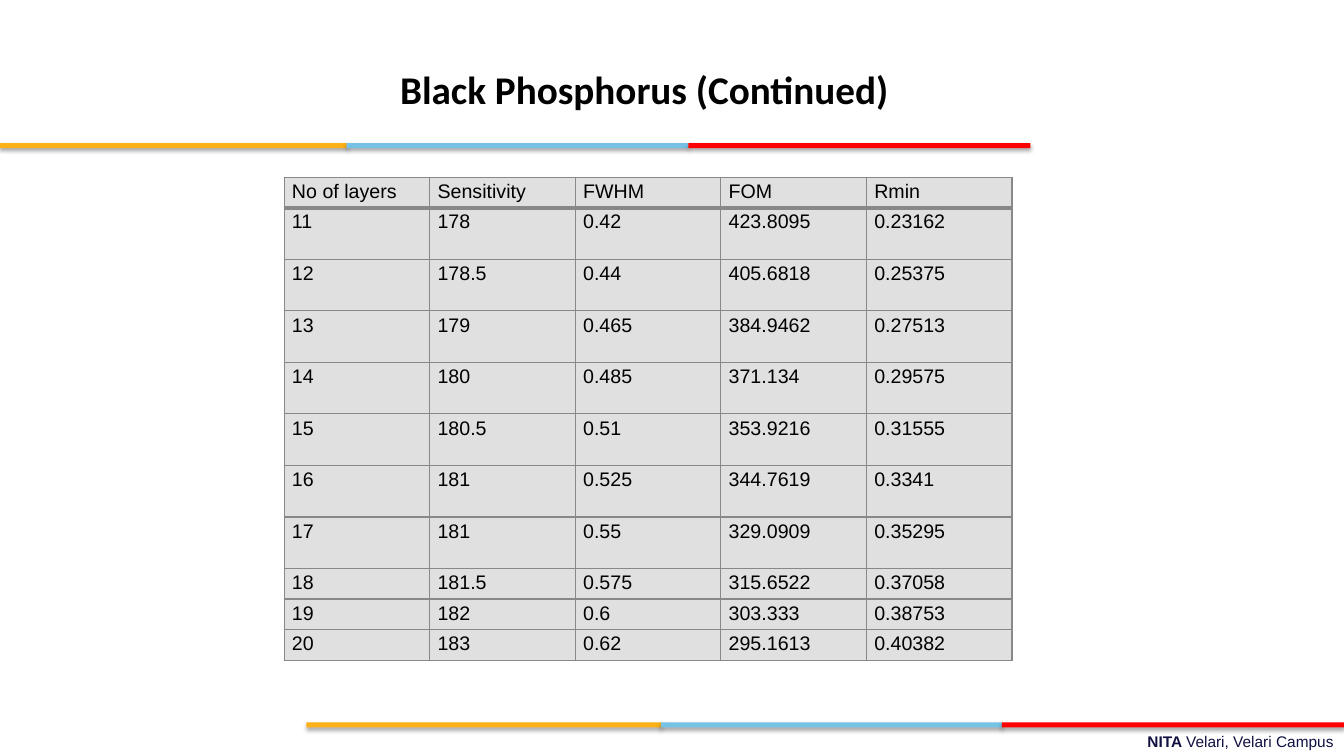
from lxml.etree import SubElement
from pptx import Presentation
from pptx.dml.color import RGBColor
from pptx.enum.shapes import MSO_SHAPE
from pptx.enum.text import MSO_ANCHOR, PP_ALIGN
from pptx.oxml import parse_xml
from pptx.oxml.ns import nsdecls, qn
from pptx.util import Pt

COLORS = {
    "orange": "FCB017", "blue": "76C2E5", "red": "FF0000", "black": "000000",
    "navy": "101141", "cell": "E0E0E0", "border": "888888",
}
TITLE_FONT = {"name": "Calibri", "size": Pt(28), "bold": True}
TABLE_FONT = {"name": "Arial", "size": Pt(14), "bold": False}
CAMPUS_FONT = {"name": "Arial", "size": Pt(11)}
CELL_MARGINS = {"margin_left": Pt(5.6), "margin_right": Pt(5.6),
                "margin_top": Pt(2.5), "margin_bottom": Pt(2.5)}

HEADER = ("No of layers", "Sensitivity", "FWHM", "FOM", "Rmin")
MEASUREMENTS = [
    ("11", "178", "0.42", "423.8095", "0.23162"),
    ("12", "178.5", "0.44", "405.6818", "0.25375"),
    ("13", "179", "0.465", "384.9462", "0.27513"),
    ("14", "180", "0.485", "371.134", "0.29575"),
    ("15", "180.5", "0.51", "353.9216", "0.31555"),
    ("16", "181", "0.525", "344.7619", "0.3341"),
    ("17", "181", "0.55", "329.0909", "0.35295"),
    ("18", "181.5", "0.575", "315.6522", "0.37058"),
    ("19", "182", "0.6", "303.333", "0.38753"),
    ("20", "183", "0.62", "295.1613", "0.40382"),
]
LOW_ROW, TALL_ROW = 21.1, 36.85
ROW_HEIGHTS = [LOW_ROW] + [TALL_ROW] * 7 + [LOW_ROW] * 3
COLUMN_WIDTH = 104


def rgb(color):
    return RGBColor.from_string(COLORS[color])


def apply(target, values):
    for attribute, value in values.items():
        setattr(target, attribute, value)


def write(paragraph, text, font, color, **extra):
    run = paragraph.add_run()
    run.text = text
    apply(run.font, {**font, **extra})
    run.font.color.rgb = rgb(color)


def add_soft_shadow(bar):
    bar._element.spPr.append(parse_xml(
        f'<a:effectLst {nsdecls("a")}>'
        f'<a:outerShdw blurRad="{Pt(3.1)}" dist="{Pt(1.8)}" dir="5400000" rotWithShape="0">'
        f'<a:srgbClr val="{COLORS["black"]}"><a:alpha val="35000"/></a:srgbClr>'
        '</a:outerShdw></a:effectLst>'))


def add_ribbon(slide, left, top, widths):
    """Draw the orange, blue and red bars end to end."""
    for color, width in zip(("orange", "blue", "red"), widths):
        bar = slide.shapes.add_shape(
            MSO_SHAPE.RECTANGLE, Pt(left), Pt(top), Pt(width), Pt(3.6))
        bar.fill.solid()
        bar.fill.fore_color.rgb = rgb(color)
        bar.line.fill.background()
        add_soft_shadow(bar)
        left += width


def add_campus_line(slide):
    campus = slide.shapes.add_textbox(Pt(344.2), Pt(519.1), Pt(615.6), Pt(20.2))
    campus.text_frame.word_wrap = True
    line = campus.text_frame.paragraphs[0]
    line.alignment = PP_ALIGN.RIGHT
    write(line, "NITA ", CAMPUS_FONT, "navy", bold=True)
    write(line, "Velari, Velari Campus", CAMPUS_FONT, "navy", bold=False)


def set_title(slide, text):
    title = slide.shapes.title
    apply(title, {"left": Pt(278.6), "top": Pt(39.6), "width": Pt(388.8), "height": Pt(48.2)})
    apply(title.text_frame, {
        "word_wrap": True, "vertical_anchor": MSO_ANCHOR.TOP, "margin_left": Pt(7.2),
        "margin_right": Pt(7.2), "margin_top": Pt(7.2), "margin_bottom": Pt(7.2)})
    heading = title.text_frame.paragraphs[0]
    heading.alignment = PP_ALIGN.LEFT
    write(heading, text, TITLE_FONT, "black")


def set_borders(cell, widths):
    """Border the cell; its fill must be set afterwards."""
    properties = cell._tc.get_or_add_tcPr()
    for side, width in widths.items():
        edge = SubElement(properties, qn(f"a:ln{side}"), w=str(Pt(width)))
        fill = SubElement(edge, qn("a:solidFill"))
        SubElement(fill, qn("a:srgbClr"), val=COLORS["border"])


def add_measurement_table(slide):
    rows = [HEADER, *MEASUREMENTS]
    table = slide.shapes.add_table(
        len(rows), len(HEADER), Pt(203), Pt(126.5),
        Pt(COLUMN_WIDTH * len(HEADER)), Pt(sum(ROW_HEIGHTS))).table
    apply(table, {"first_row": False, "horz_banding": False})
    for column in table.columns:
        column.width = Pt(COLUMN_WIDTH)
    for r, (values, height) in enumerate(zip(rows, ROW_HEIGHTS)):
        table.rows[r].height = Pt(height)
        for c, value in enumerate(values):
            cell = table.cell(r, c)
            apply(cell, CELL_MARGINS)
            set_borders(cell, {"L": 1, "R": 1, "T": 3 if r == 1 else 1,
                               "B": 3 if r == 0 else 1})
            cell.fill.solid()
            cell.fill.fore_color.rgb = rgb("cell")
            write(cell.text_frame.paragraphs[0], value, TABLE_FONT, "black")


def main():
    deck = Presentation()
    apply(deck, {"slide_width": Pt(960), "slide_height": Pt(540)})
    slide = deck.slides.add_slide(deck.slide_layouts[5])
    add_campus_line(slide)
    add_ribbon(slide, 218.9, 515.9, (253.4, 243.4, 244.3))
    add_ribbon(slide, 0, 102.2, (247.7, 244, 244.3))
    add_measurement_table(slide)
    set_title(slide, "Black Phosphorus (Continued)")
    deck.save("out.pptx")


if __name__ == "__main__":
    main()
